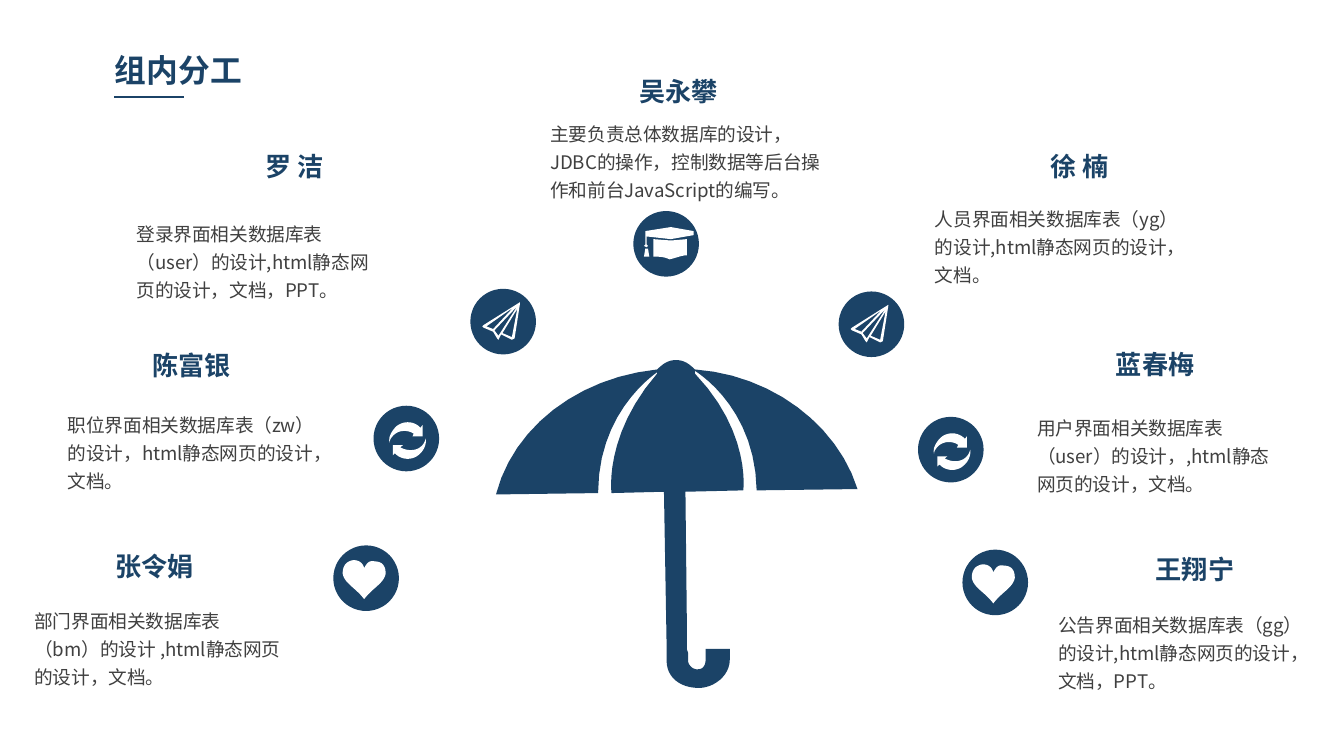
from dataclasses import dataclass

from lxml.etree import SubElement
from pptx import Presentation
from pptx.dml.color import RGBColor
from pptx.enum.shapes import MSO_CONNECTOR, MSO_SHAPE
from pptx.enum.text import MSO_AUTO_SIZE, PP_ALIGN
from pptx.oxml.ns import qn
from pptx.util import Cm, Pt

NAVY, GREY, WHITE = "1B4367", "404040", "FFFFFF"
FONT = "Noto Sans CJK SC"
GRID = Cm(2.54) / 100  # one unit of the outlines below
CURVE_STEPS = 12
BADGE_SIZE = Cm(1.24)
NAME_HEIGHT, DUTY_HEIGHT = 0.79, 1.8
FRAME = dict(margin_left=Cm(0.19), margin_right=Cm(0.19),
             margin_top=Cm(0.1), margin_bottom=Cm(0.1),
             auto_size=MSO_AUTO_SIZE.SHAPE_TO_FIT_TEXT)
TITLE = dict(size=Pt(17), bold=True)
NAME = dict(size=Pt(14), bold=True)
DUTY = dict(size=Pt(10))

# Outlines: M moves, L draws lines, C draws cubic curves; every contour is closed.
UMBRELLA = ["""M 563 365 L 638 364 C 623 316 574 279 517 275 C 513 271 509 268 503 268
    C 497 268 493 271 489 275 C 430 281 382 318 369 368 L 445 367
    C 445 310 482 282 489 277 L 489 278 C 449 324 455 367 455 367
    L 494 366 496 480 496 492 C 496 504 506 512 520 512 C 531 512 543 503 543 491
    L 543 483 525 483 525 491 C 525 495 523 498 520 498 C 516 499 512 495 512 492
    L 512 486 511 483 511 461 510 366 553 365 C 553 365 559 322 517 278
    L 517 276 C 525 281 562 308 563 365"""]
# Icon outlines are measured from the centre of their badge.
HEART = ["""M -1.5 -7.5 C -2.5 -11.5 -5.5 -13.5 -9.5 -13.5
    C -15.5 -12.5 -17.5 -8.5 -17.5 -3.5 C -16.5 3.5 -7.5 7.5 -1.5 15.5
    C 4.5 7.5 13.5 3.5 14.5 -3.5 C 14.5 -8.5 12.5 -12.5 6.5 -12.5
    C 2.5 -13.5 0.5 -11.5 -1.5 -7.5"""]
REFRESH = [
    """M 10.5 -8 C 5.5 -13.5 -3.5 -13.5 -8.5 -8 C -11.5 -4.5 -13.5 -0.5 -12.5 3
    C -12.5 1.5 -11.5 -0.5 -9.5 -2.5 C -5.5 -6.5 1.5 -6.5 5.5 -3.5
    L 4.5 -1.5 12 -1.5 12 -10""",
    """M -8.5 11 C -3.5 16.5 5.5 16.5 10.5 11 C 13.5 8 15 4 14.5 0
    C 14 2 13 4 11.5 5.5 C 7.5 9.5 0.5 9.5 -4.5 6.5 L -2.5 5 -10 5 -10 12.5"""]
CAP = ["""M 20.5 -9.5 L 3.5 -12.5 -15.5 -9.5 -15.5 0.5 -16.5 1.5 -14.5 2.5
    -13.5 1.5 -14.5 0.5 -14.5 -5.5 3.5 -3.5 20.5 -6.5
    M -13.5 3.5 L -15.5 3.5 -16.5 9.5 -12.5 9.5
    M -9.5 9.5 L -9.5 -3.5 3.5 -2.5 15.5 -3.5 15.5 8.5
    C 11.5 8.5 7.5 10.5 2.5 11.5 C -1.5 9.5 -5.5 9.5 -9.5 9.5"""]
PLANE = ["""M 12.5 -14.5 L -14.5 2.5 -15.5 3.5 -14.5 4.5 -7.5 7.5 -4.5 12.5 -3.5 13.5
    -1.5 9.5 6.5 13.5 8.5 12.5 12.5 -13.5
    M -12.5 3.5 L 7.5 -10.5 -7.5 5.5 M -6.5 6.5 L 10.5 -11.5 -3.5 10.5
    M 6.5 11.5 L -0.5 8.5 10.5 -9.5"""]


@dataclass
class Member:
    """A team member; positions are in centimetres."""
    name: str
    name_at: tuple[float, float]
    duty: str
    duty_at: tuple[float, float]
    icon: list[str]
    badge_centre: tuple[float, float]
    align: PP_ALIGN = PP_ALIGN.LEFT
    name_width: float = 1.88
    duty_width: float = 5.11


MEMBERS = [
    Member("吴永攀", (11.89, 1.32),
           "主要负责总体数据库的设计，JDBC的操作，控制数据等后台操作和前台JavaScript的编写。",
           (10.21, 2.11), CAP, (12.59, 4.61), PP_ALIGN.CENTER, duty_width=5.59),
    Member("罗 洁", (4.39, 2.74),
           "登录界面相关数据库表（user）的设计,html静态网页的设计，文档，PPT。",
           (2.39, 4.01), PLANE, (9.51, 6.08), PP_ALIGN.CENTER, name_width=2.36),
    Member("陈富银", (2.67, 6.5),
           "职位界面相关数据库表（zw）的设计，html静态网页的设计，文档。",
           (1.09, 7.62), REFRESH, (7.68, 8.29), PP_ALIGN.RIGHT),
    Member("张令娟", (1.98, 10.31),
           "部门界面相关数据库表（bm）的设计 ,html静态网页的设计，文档。",
           (0.46, 11.33), HEART, (6.92, 10.93), PP_ALIGN.RIGHT),
    Member("徐 楠", (19.66, 2.74),
           "人员界面相关数据库表（yg）的设计,html静态网页的设计，文档。",
           (17.48, 3.73), PLANE, (16.47, 6.13), name_width=1.52),
    Member("蓝春梅", (20.9, 6.48),
           "用户界面相关数据库表（user）的设计，,html静态网页的设计，文档。",
           (19.41, 7.67), REFRESH, (17.97, 8.5)),
    Member("王翔宁", (21.64, 10.36),
           "公告界面相关数据库表（gg）的设计,html静态网页的设计，文档，PPT。",
           (19.81, 11.4), HEART, (18.81, 11.01), PP_ALIGN.RIGHT),
]


def colour(value: str) -> RGBColor:
    return RGBColor.from_string(value)


def paint(shape, fill: str) -> None:
    shape.shadow.inherit = False
    shape.fill.solid()
    shape.fill.fore_color.rgb = colour(fill)
    shape.line.fill.background()


def curve_points(controls: list[tuple]) -> list[tuple]:
    """Sample a cubic curve, leaving out its first point."""
    points = []
    for step in range(1, CURVE_STEPS + 1):
        t = step / CURVE_STEPS
        weights = (1 - t) ** 3, 3 * t * (1 - t) ** 2, 3 * t * t * (1 - t), t ** 3
        points.append(tuple(sum(weight * value for weight, value in zip(weights, axis))
                            for axis in zip(*controls)))
    return points


def contours(outline: str) -> list[list[tuple]]:
    result = []
    for segment in outline.replace("M", "|M").replace("L", "|L").replace("C", "|C").split("|")[1:]:
        command, *numbers = segment.split()
        values = [float(number) for number in numbers]
        points = list(zip(values[::2], values[1::2]))
        if command == "M":
            result.append(points)
        elif command == "L":
            result[-1] += points
        else:
            result[-1] += curve_points([result[-1][-1], *points])
    return result


def draw_outline(shapes, outline: str, fill: str, origin: tuple[float, float] = (0, 0)) -> None:
    left, top = (Cm(value) for value in origin)
    placed = [[(left + x * GRID, top + y * GRID) for x, y in contour]
              for contour in contours(outline)]
    builder = shapes.build_freeform(*placed[0][0])
    for contour in placed:
        if contour is not placed[0]:
            builder.move_to(*contour[0])
        builder.add_line_segments(contour[1:], close=True)
    paint(builder.convert_to_shape(), fill)


def draw_badge(shapes, icon: list[str], centre: tuple[float, float]) -> None:
    badge = shapes.add_group_shape()
    left, top = (Cm(value) - BADGE_SIZE // 2 for value in centre)
    paint(badge.shapes.add_shape(MSO_SHAPE.OVAL, left, top, BADGE_SIZE, BADGE_SIZE), NAVY)
    for outline in icon:
        draw_outline(badge.shapes, outline, WHITE, centre)


def add_text(shapes, text: str, at: tuple[float, float], size: tuple[float, float],
             font: dict, ink: str, wrap: bool = True, **paragraph_format) -> None:
    box = shapes.add_textbox(*(Cm(value) for value in at + size))
    para = box.text_frame.paragraphs[0]
    span = para.add_run()
    span.text = text
    for target, values in ((box.text_frame, FRAME | {"word_wrap": wrap}),
                           (para, paragraph_format), (span.font, font | {"name": FONT})):
        for attribute, value in values.items():
            setattr(target, attribute, value)
    span.font.color.rgb = colour(ink)
    SubElement(span.font._element, qn("a:ea"), typeface=FONT)


def draw_member(shapes, member: Member) -> None:
    add_text(shapes, member.name, member.name_at, (member.name_width, NAME_HEIGHT),
             NAME, NAVY, wrap=False, alignment=member.align)
    add_text(shapes, member.duty, member.duty_at, (member.duty_width, DUTY_HEIGHT),
             DUTY, GREY, line_spacing=Pt(15))
    draw_badge(shapes, member.icon, member.badge_centre)


def main() -> None:
    deck = Presentation()
    deck.slide_width, deck.slide_height = Cm(25.4), Cm(14.29)
    page = deck.slides.add_slide(deck.slide_layouts[6])
    add_text(page.shapes, "组内分工", (1.98, 0.86), (6.27, 0.91), TITLE, NAVY)
    underline = page.shapes.add_connector(MSO_CONNECTOR.STRAIGHT,
                                          Cm(2.16), Cm(1.83), Cm(3.48), Cm(1.83))
    underline.line.color.rgb = colour(NAVY)
    underline.line.width = Pt(0.75)
    SubElement(underline._element.spPr, qn("a:effectLst"))
    for outline in UMBRELLA:
        draw_outline(page.shapes, outline, NAVY)
    for member in MEMBERS:
        draw_member(page.shapes, member)
    deck.save("out.pptx")


if __name__ == "__main__":
    main()
